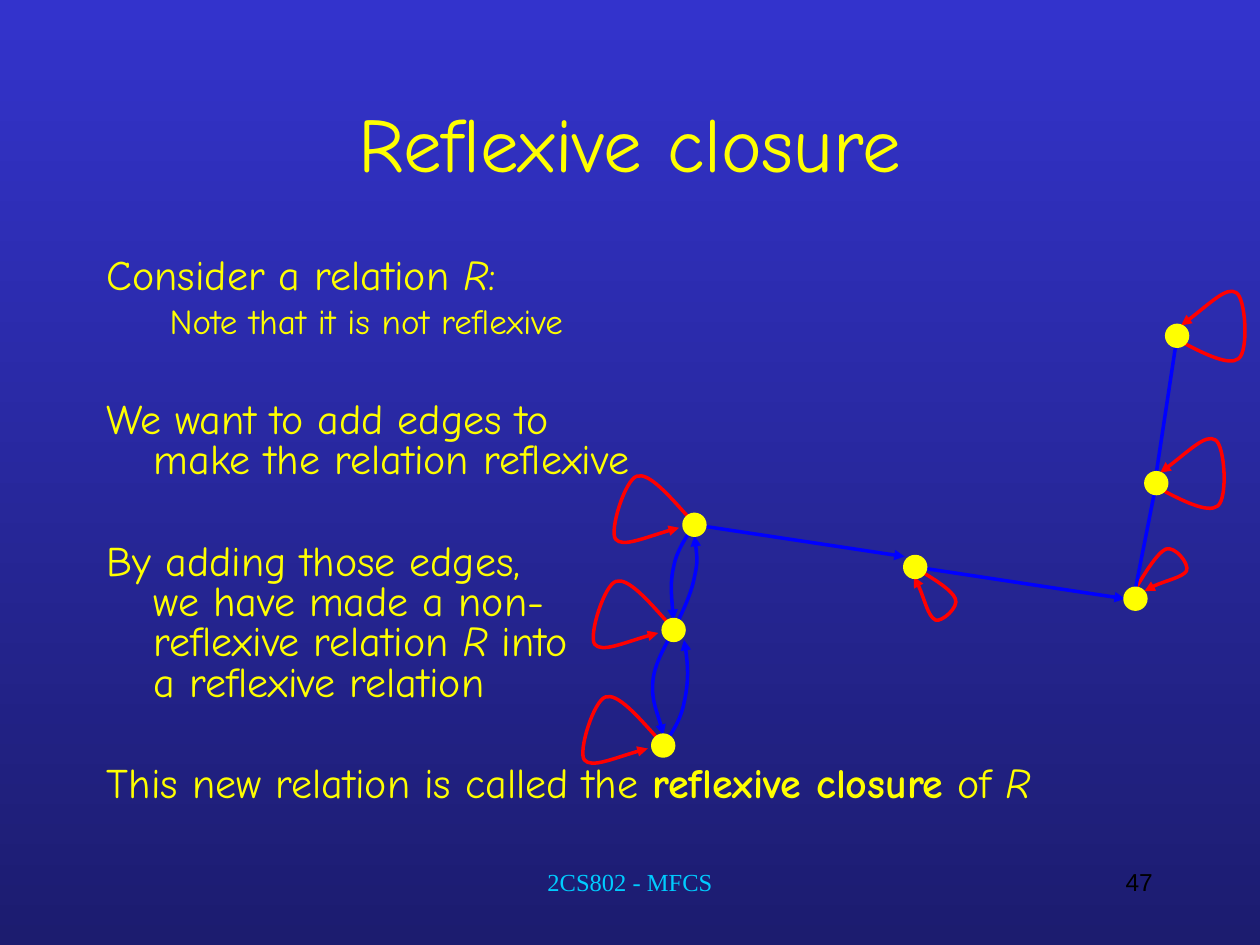
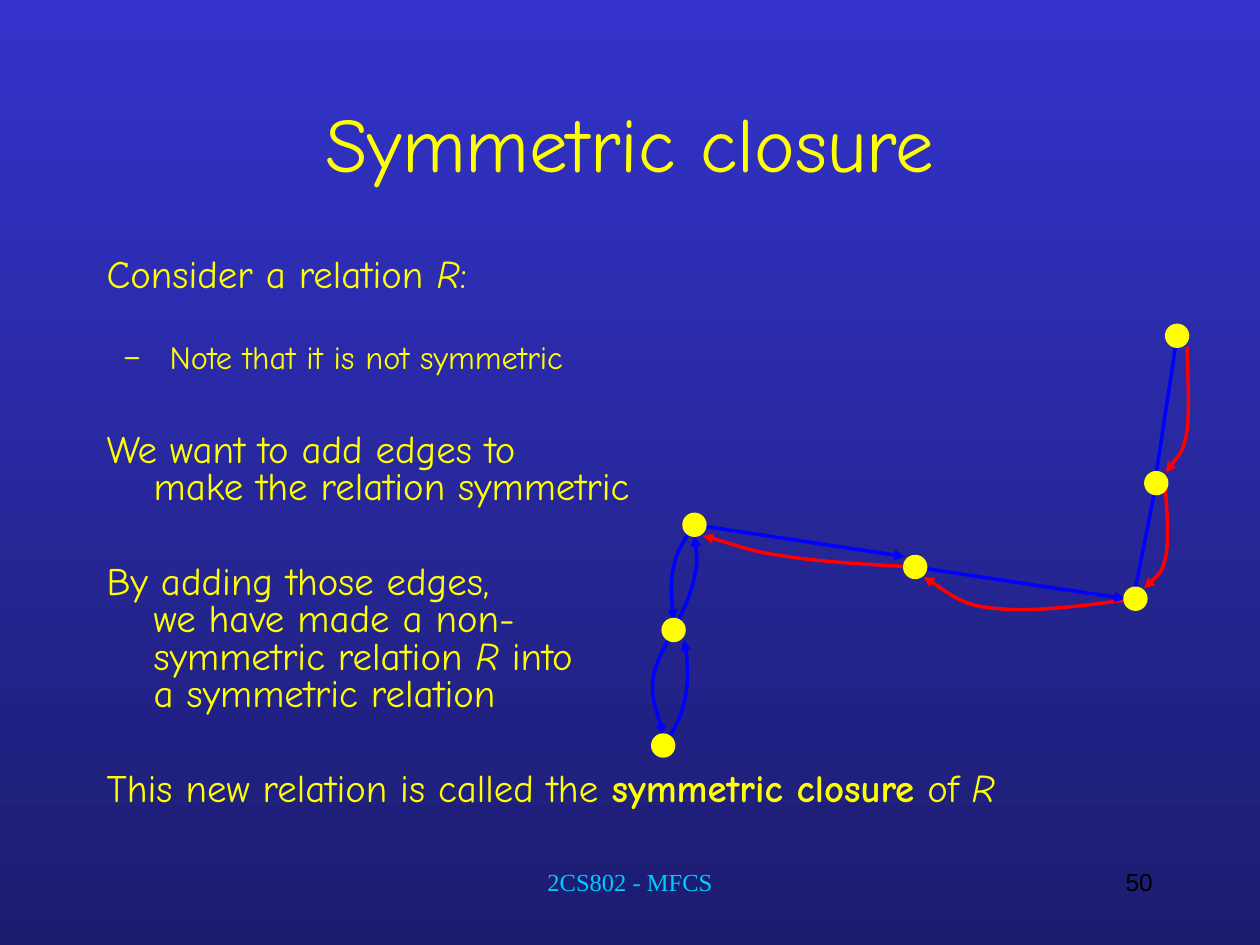
from lxml import etree
from pptx import Presentation
from pptx.dml.color import RGBColor
from pptx.enum.shapes import MSO_CONNECTOR, MSO_SHAPE
from pptx.enum.text import MSO_ANCHOR, PP_ALIGN
from pptx.oxml.ns import qn
from pptx.util import Cm, Pt

LEFT, CENTER, RIGHT = PP_ALIGN.LEFT, PP_ALIGN.CENTER, PP_ALIGN.RIGHT
TOP, MIDDLE = MSO_ANCHOR.TOP, MSO_ANCHOR.MIDDLE
STRAIGHT, OVAL = MSO_CONNECTOR.STRAIGHT, MSO_SHAPE.OVAL

COLORS = {
    "sky": "3333CC",
    "night": "1C1C6F",
    "text": "FFFF00",
    "node": "FFFF00",
    "relation": "0000FF",
    "added": "FF0000",
    "footer": "00CCFF",
    "number": "000000",
}
BODY_FONT = "Comic Neue"
NODE_SIZE = 0.42

# Graph: node centres and edges in cm, curves as Bézier control points
NODES = {
    "top": (23.73, 6.77),
    "upper": (23.31, 9.74),
    "corner": (22.89, 12.07),
    "middle": (18.45, 11.43),
    "left": (14, 10.58),
    "lower": (13.58, 12.7),
    "bottom": (13.37, 15.03),
}
RELATION_EDGES = [
    [(23.31, 9.53), NODES["top"]],
    [(22.89, 11.86), NODES["upper"]],
    [NODES["left"], (18.24, 11.22)],
    [NODES["middle"], (22.68, 12.07)],
    [NODES["lower"], (13.77, 12.32), (13.94, 11.96), (14, 11.63),
     (14.07, 11.33), (14.05, 11.18), (14, 10.8)],
    [NODES["left"], (13.82, 10.85), (13.64, 11.1), (13.58, 11.43),
     (13.51, 11.73), (13.54, 12.09), (13.58, 12.5)],
    [NODES["bottom"], (13.54, 14.78), (13.72, 14.53), (13.79, 14.17),
     (13.87, 13.82), (13.89, 13.41), (13.79, 12.9)],
    [NODES["lower"], (13.39, 13.06), (13.18, 13.41), (13.16, 13.76),
     (13.13, 14.12), (13.31, 14.5), (13.37, 14.82)],
]

# Loops as offsets from their node
LEFT_LOOP = [(-0.11, -0.14), (-0.52, -0.6), (-0.92, -1.06), (-1.16, -0.98), (-1.4, -0.91),
             (-1.72, 0.12), (-1.59, 0.29), (-1.45, 0.46), (-0.92, 0.22), (-0.31, 0.06)]
RIGHT_LOOP = [(-0.03, 0.06), (0.51, 0.35), (1.04, 0.62), (1.24, 0.46), (1.45, 0.29),
              (1.38, -0.77), (1.19, -0.87), (1, -1), (0.58, -0.57), (0.08, -0.21)]
CORNER_LOOP = [(-0.03, -0.15), (0.2, -0.53), (0.43, -0.91), (0.61, -1), (0.79, -1.07),
               (1.09, -0.71), (1.03, -0.56), (0.95, -0.43), (0.43, -0.33), (0.18, -0.15)]
MIDDLE_LOOP = [(-0.03, 0), (0.36, 0.23), (0.74, 0.46), (0.81, 0.64), (0.89, 0.81),
               (0.53, 1.12), (0.41, 1.07), (0.25, 0.99), (0.15, 0.46), (-0.03, 0.2)]
NODE_LOOPS = {
    "left": LEFT_LOOP, "lower": LEFT_LOOP, "bottom": LEFT_LOOP,
    "upper": RIGHT_LOOP, "top": RIGHT_LOOP,
    "corner": CORNER_LOOP, "middle": MIDDLE_LOOP,
}
REFLEXIVE_EDGES = [
    [(NODES[name][0] + dx, NODES[name][1] + dy) for dx, dy in loop]
    for name, loop in NODE_LOOPS.items()
]
SYMMETRIC_EDGES = [
    [(18.42, 11.43), (17.5, 11.38), (16.59, 11.33), (15.88, 11.22),
     (15.16, 11.13), (14.81, 10.97), (14.17, 10.8)],
    [(22.86, 12.07), (21.84, 12.22), (20.8, 12.34), (20.12, 12.27),
     (19.41, 12.22), (19.15, 11.96), (18.62, 11.63)],
    [(23.93, 6.99), (23.95, 7.62), (23.98, 8.26), (23.93, 8.69),
     (23.85, 9.09), (23.83, 9.09), (23.5, 9.53)],
    [(23.29, 9.73), (23.37, 9.73), (23.47, 9.7), (23.5, 9.96), (23.52, 10.19),
     (23.57, 10.9), (23.5, 11.23), (23.42, 11.53), (23.42, 11.53), (23.06, 11.86)],
]

# What differs between the slides; sizes and gaps in points
SLIDES = [
    {"kind": "reflexive", "number": "47", "size": 24, "note_size": 20,
     "note_gap": 5, "gap": 35, "bullet": False, "added": REFLEXIVE_EDGES},
    {"kind": "symmetric", "number": "50", "size": 22.2, "note_size": 18.5,
     "note_gap": 28, "gap": 33, "bullet": True, "added": SYMMETRIC_EDGES},
]


def add_text(slide, box, paragraphs, color, font_name=BODY_FONT, align=LEFT, anchor=TOP):
    """Each paragraph is a dict with its size, its runs and optional layout values."""
    shape = slide.shapes.add_textbox(*[Cm(length) for length in box])
    frame = shape.text_frame
    frame.word_wrap = True
    frame.vertical_anchor = anchor
    for index, content in enumerate(paragraphs):
        paragraph = frame.paragraphs[0] if index == 0 else frame.add_paragraph()
        paragraph.alignment = align
        for name, value in content.get("spacing", {}).items():
            setattr(paragraph, name, value)
        properties = paragraph._p.get_or_add_pPr()
        for name, length in content.get("indents", {}).items():
            properties.set(name, str(Cm(length)))
        if content.get("bullet"):
            bullet_color = etree.SubElement(properties, qn("a:buClr"))
            etree.SubElement(bullet_color, qn("a:srgbClr"), val=COLORS[color])
            etree.SubElement(properties, qn("a:buFont"), typeface=font_name)
            etree.SubElement(properties, qn("a:buChar"), char="–")
        for text, style in content["runs"]:
            for line_index, line in enumerate(text.split("\n")):
                if line_index:
                    paragraph.add_line_break()
                run = paragraph.add_run()
                run.text = line
                run.font.color.rgb = RGBColor.from_string(COLORS[color])
                formats = {"name": font_name, "size": Pt(content["size"]), **style}
                for name, value in formats.items():
                    setattr(run.font, name, value)


def add_edge(slide, points, color):
    """Two points give a straight arrow, more give a Bézier arrow."""
    points = [(Cm(x), Cm(y)) for x, y in points]
    if len(points) == 2:
        shape = slide.shapes.add_connector(STRAIGHT, *points[0], *points[1])
    else:
        builder = slide.shapes.build_freeform(*points[0])
        builder.add_line_segments(points[1:], close=False)
        shape = builder.convert_to_shape()
        shape.fill.background()
        segments = list(shape._element.iter(qn("a:lnTo")))
        for start in range(0, len(segments), 3):
            curve = etree.Element(qn("a:cubicBezTo"))
            segments[start].addprevious(curve)
            for segment in segments[start:start + 3]:
                curve.append(segment[0])
                segment.getparent().remove(segment)
    shape.line.color.rgb = RGBColor.from_string(COLORS[color])
    shape.line.width = Pt(2)
    properties = shape._element.spPr
    etree.SubElement(properties.find(qn("a:ln")), qn("a:tailEnd"), type="triangle")
    etree.SubElement(properties, qn("a:effectLst"))


presentation = Presentation()
presentation.slide_width = Cm(25.4)
presentation.slide_height = Cm(19.05)

# Shared background, running from top to bottom
background = presentation.slide_master.background.fill
background.gradient()
background.gradient_angle = 270
for stop, position, color in zip(background.gradient_stops, (0, 1), ("sky", "night")):
    stop.position = position
    stop.color.rgb = RGBColor.from_string(COLORS[color])

for content in SLIDES:
    slide = presentation.slides.add_slide(presentation.slide_layouts[6])
    kind = content["kind"]

    # Added edges
    for edge in content["added"]:
        add_edge(slide, edge, "added")

    # Body
    plain, italic, bold = {}, {"italic": True}, {"bold": True}
    statements = [
        [("Consider a relation ", plain), ("R", italic), (":", plain)],
        [(f"We want to add edges to \nmake the relation {kind}", plain)],
        [(f"By adding those edges, \nwe have made a non-\n{kind} relation ", plain),
         ("R", italic), (f" into \na {kind} relation", plain)],
        [("This new relation is called the ", plain), (f"{kind} closure", bold),
         (" of ", plain), ("R", italic)],
    ]
    paragraphs = [
        {"runs": runs, "size": content["size"],
         "indents": {"marL": 0.95, "indent": -0.95},
         "spacing": {"line_spacing": 0.8, "space_before": Pt(content["gap"] if index else 0)}}
        for index, runs in enumerate(statements)
    ]
    paragraphs.insert(1, {
        "runs": [(f"Note that it is not {kind}", plain)], "size": content["note_size"],
        "indents": {"marL": 1.27, "indent": -0.95 if content["bullet"] else 0},
        "spacing": {"line_spacing": 0.8, "space_before": Pt(content["note_gap"])},
        "bullet": content["bullet"],
    })
    add_text(slide, (1.9, 5.08, 21.6, 11.86), paragraphs, "text")

    # Title
    title = {"size": 44, "runs": [(f"{kind.capitalize()} closure", plain)]}
    add_text(slide, (1.9, 1.27, 21.6, 3.18), [title], "text", align=CENTER, anchor=MIDDLE)

    # Relation graph
    for edge in RELATION_EDGES:
        add_edge(slide, edge, "relation")
    for x, y in NODES.values():
        node = slide.shapes.add_shape(OVAL, Cm(x - NODE_SIZE / 2), Cm(y - NODE_SIZE / 2),
                                      Cm(NODE_SIZE), Cm(NODE_SIZE))
        node.shadow.inherit = False
        node.fill.solid()
        node.fill.fore_color.rgb = RGBColor.from_string(COLORS["node"])
        node.line.color.rgb = RGBColor.from_string(COLORS["node"])
        node.line.width = Pt(2)

    # Footer and slide number
    footer = {"size": 14, "runs": [("2CS802 - MFCS", plain)]}
    add_text(slide, (7.2, 17.36, 11, 1.27), [footer], "footer", "Times New Roman", CENTER)
    number = {"size": 14, "runs": [(content["number"], plain)]}
    add_text(slide, (18.2, 17.36, 5.29, 1.27), [number], "number", "Arial", RIGHT)

presentation.save("out.pptx")
